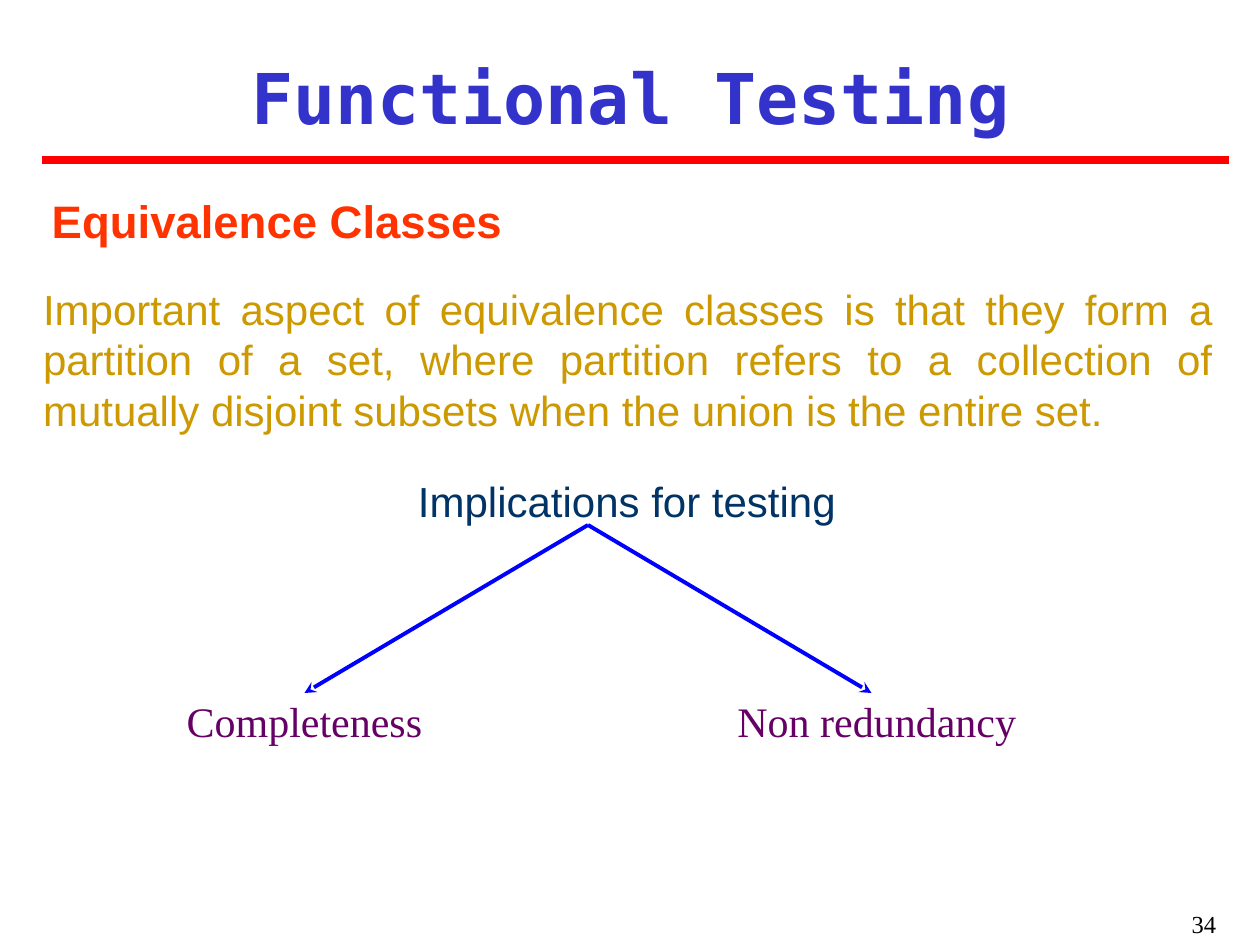
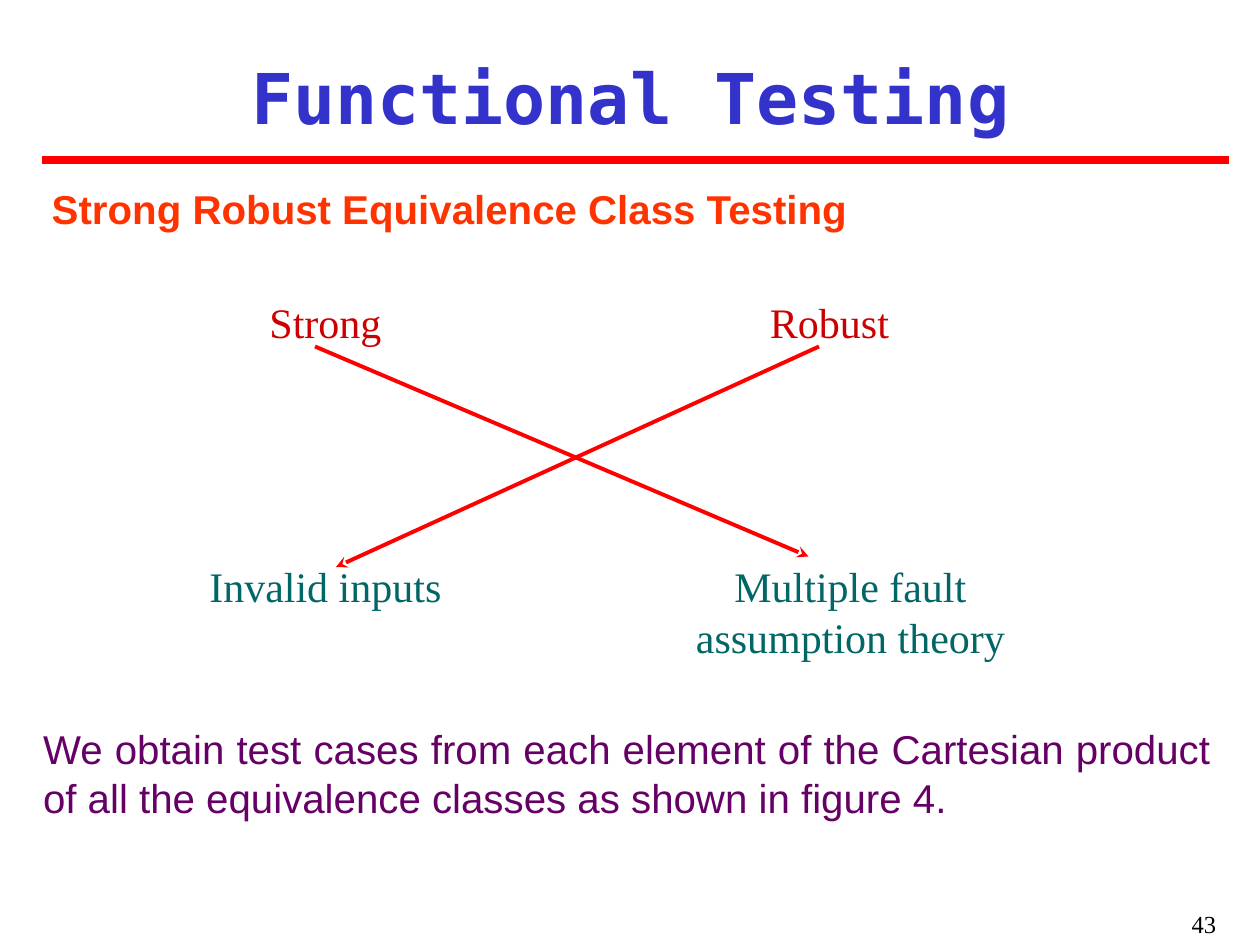
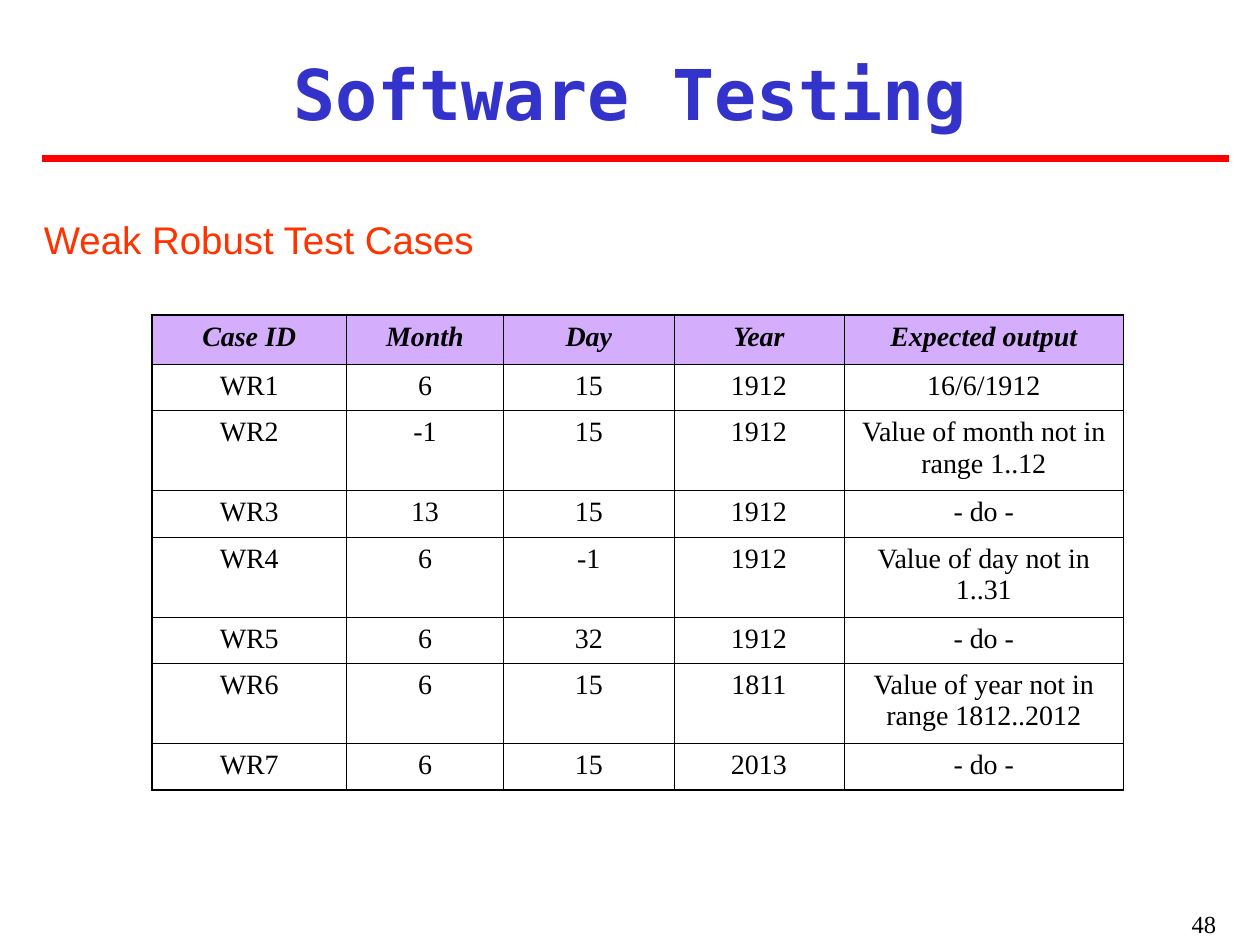
from dataclasses import dataclass

from lxml import etree
from pptx import Presentation, util as u
from pptx.dml.color import RGBColor
from pptx.enum import shapes, text
from pptx.oxml import ns

COLS, ROWS = 120, 90  # grid cells across and down the slide
CELL = u.Inches(10) // COLS


@dataclass(frozen=True)
class Theme:
    sans: str = "Arial"
    serif: str = "Times New Roman"
    mono: str = "DejaVu Sans Mono"
    title: str = "3333CC"
    head: str = "FF3300"
    red: str = "FF0000"
    blue: str = "0000FF"
    gold: str = "CC9900"
    navy: str = "003366"
    plum: str = "660066"
    crimson: str = "CC0000"
    teal: str = "006666"
    lilac: str = "D5ADFD"
    ink: str = "000000"
    big: int = 40
    body: int = 24
    note: int = 23
    grid: int = 16
    page: int = 14


T = Theme()
ALIGN = {"l": text.PP_ALIGN.LEFT, "c": text.PP_ALIGN.CENTER,
         "r": text.PP_ALIGN.RIGHT, "j": text.PP_ALIGN.JUSTIFY}


def at(cells):
    return u.Emu(round(cells * CELL))


def style(frame, words, size=T.body, face=T.sans, color=T.ink, bold=False,
          slant=False, align="l", lead=None):
    """Fill a text frame; lead is the line pitch as a multiple of the size."""
    frame.word_wrap = True
    para = frame.paragraphs[0]
    para.alignment = ALIGN[align]
    if lead:
        para.line_spacing = u.Pt(size * lead)
    run = para.add_run()
    run.text = words
    font = run.font
    font.size, font.name, font.bold, font.italic = u.Pt(size), face, bold, slant
    font.color.rgb = RGBColor.from_string(color)


def write(slide, words, box, pad=(0, 0), middle=False, lead=1.2, **look):
    frame = slide.shapes.add_textbox(*map(at, box)).text_frame
    frame.margin_left = frame.margin_right = u.Inches(pad[0])
    frame.margin_top = frame.margin_bottom = u.Inches(pad[1])
    if middle:
        frame.vertical_anchor = text.MSO_ANCHOR.MIDDLE
    style(frame, words, lead=lead, **look)


def line(slide, start, end, color, width, arrow=False):
    link = slide.shapes.add_connector(
        shapes.MSO_CONNECTOR.STRAIGHT, *map(at, start + end))
    link.line.color.rgb = RGBColor.from_string(color)
    link.line.width = u.Pt(width)
    if arrow:
        tip = etree.SubElement(link.line._get_or_add_ln(), ns.qn("a:tailEnd"))
        tip.set("type", "stealth")
    etree.SubElement(link._element.spPr, ns.qn("a:effectLst"))


def arrow(slide, start, end, color):
    line(slide, start, end, color, 2.25, arrow=True)


def label(slide, words, box, color):
    write(slide, words, box, middle=True, face=T.serif, color=color, align="c")


def head(slide, words, box, size, bold=True):
    write(slide, words, box, pad=(0.1, 0.05), size=size, color=T.head, bold=bold)


def start(deck, title, page, box=(3, 4, 114, 10), rule=15.25, middle=True):
    """Add a slide with its title, red rule and page number."""
    slide = deck.slides.add_slide(deck.slide_layouts[6])
    line(slide, (4, rule), (117, rule), T.red, 4.5)
    write(slide, title, box, pad=(0.02, 0.05), middle=middle, lead=1.25,
          size=T.big, face=T.mono, color=T.title, bold=True, align="c")
    write(slide, str(page), (92, 86, 25, 4), pad=(0.1, 0.05), lead=None,
          size=T.page, face=T.serif, align="r")
    return slide


def border(cell, **widths):
    props = cell._tc.get_or_add_tcPr()
    for spot, (side, width) in enumerate(widths.items()):
        edge = etree.Element(ns.qn("a:" + side), w=str(u.Pt(width)))
        fill = etree.SubElement(edge, ns.qn("a:solidFill"))
        etree.SubElement(fill, ns.qn("a:srgbClr"), val=T.ink)
        props.insert(spot, edge)


def table(slide, data, spot, wide, high, thin=0.45, thick=1.08):
    size = u.Inches(sum(wide)), u.Inches(sum(high))
    grid = slide.shapes.add_table(
        len(data), len(wide), *map(at, spot), *size).table
    for col, width in zip(grid.columns, wide):
        col.width = u.Inches(width)
    for row, height in zip(grid.rows, high):
        row.height = u.Inches(height)
    last, end = len(data) - 1, len(wide) - 1
    for r, record in enumerate(data):
        for c, words in enumerate(record):
            cell, top = grid.cell(r, c), r == 0
            style(cell.text_frame, words, size=T.grid, face=T.serif,
                  bold=top, slant=top, align="c")
            if top:
                cell.fill.solid()
                cell.fill.fore_color.rgb = RGBColor.from_string(T.lilac)
            else:
                cell.fill.background()
            border(cell, lnL=thin if c else thick, lnR=thick if c == end else thin,
                   lnT=thick if top else thin, lnB=thick if r == last else thin)


def classes(deck):
    slide = start(deck, "Functional Testing", 34)
    head(slide, "Equivalence Classes", (3.75, 17.75, 60, 6.5), 26)
    write(slide, "Important aspect of equivalence classes is that they form a "
          "partition of a set, where partition refers to a collection of mutually "
          "disjoint subsets when the union is the entire set.",
          (4.1, 27, 111.4, 14.4), color=T.gold, align="j")
    write(slide, "Implications for testing", (4, 45.25, 111.4, 4.8),
          color=T.navy, align="c")
    for side in (-1, 1):
        arrow(slide, (56, 50), (56 + 27 * side, 66), T.blue)
    label(slide, "Completeness", (17, 66.25, 24, 4.8), T.plum)
    label(slide, "Non redundancy", (63, 66.25, 41, 4.8), T.plum)


def strong(deck):
    slide = start(deck, "Functional Testing", 43)
    head(slide, "Strong Robust Equivalence Class Testing", (3.75, 17, 108, 6),
         T.note)
    label(slide, "Strong", (19, 28.2, 24, 4.8), T.crimson)
    label(slide, "Robust", (68, 28.2, 22, 4.8), T.crimson)
    label(slide, "Invalid inputs", (19, 53.4, 24, 4.8), T.teal)
    label(slide, "Multiple fault assumption theory", (65, 53.4, 32, 9.6), T.teal)
    arrow(slide, (78, 33), (32, 54), T.red)
    arrow(slide, (30, 33), (77, 53), T.red)
    write(slide, "We obtain test cases from each element of the Cartesian product "
          "of all the equivalence classes as shown in figure 4.",
          (4.1, 69, 111.4, 9.2), size=T.note, color=T.plum, align="j")


def weak(deck):
    slide = start(deck, "Software Testing", 48, box=(4, 3.85, 112, 9.25),
                  rule=15.1, middle=False)
    head(slide, "Weak Robust Test Cases", (3, 20, 99, 5.6), 22, bold=False)
    cases = [
        ("Case ID", "Month", "Day", "Year", "Expected output"),
        ("WR1", "6", "15", "1912", "16/6/1912"),
        ("WR2", "-1", "15", "1912", "Value of month not in range 1..12"),
        ("WR3", "13", "15", "1912", "- do -"),
        ("WR4", "6", "-1", "1912", "Value of day not in 1..31"),
        ("WR5", "6", "32", "1912", "- do -"),
        ("WR6", "6", "15", "1811", "Value of year not in range 1812..2012"),
        ("WR7", "6", "15", "2013", "- do -"),
    ]
    high = [0.39] + [0.63 if row[-1].startswith("Value") else 0.37
                     for row in cases[1:]]
    table(slide, cases, (14.5, 30), (1.54, 1.25, 1.35, 1.35, 2.22), high)


def main():
    deck = Presentation()
    deck.slide_width, deck.slide_height = at(COLS), at(ROWS)
    for build in (classes, strong, weak):
        build(deck)
    deck.save("out.pptx")


if __name__ == "__main__":
    main()
